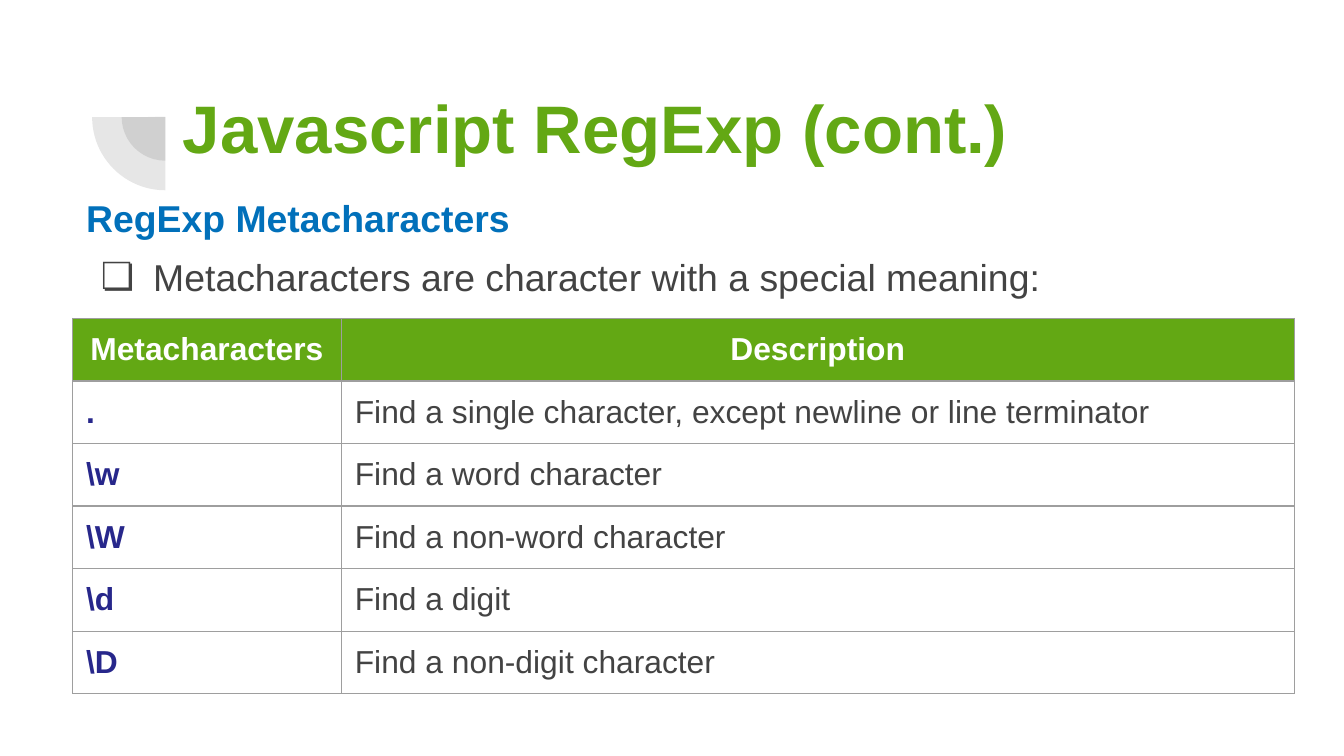
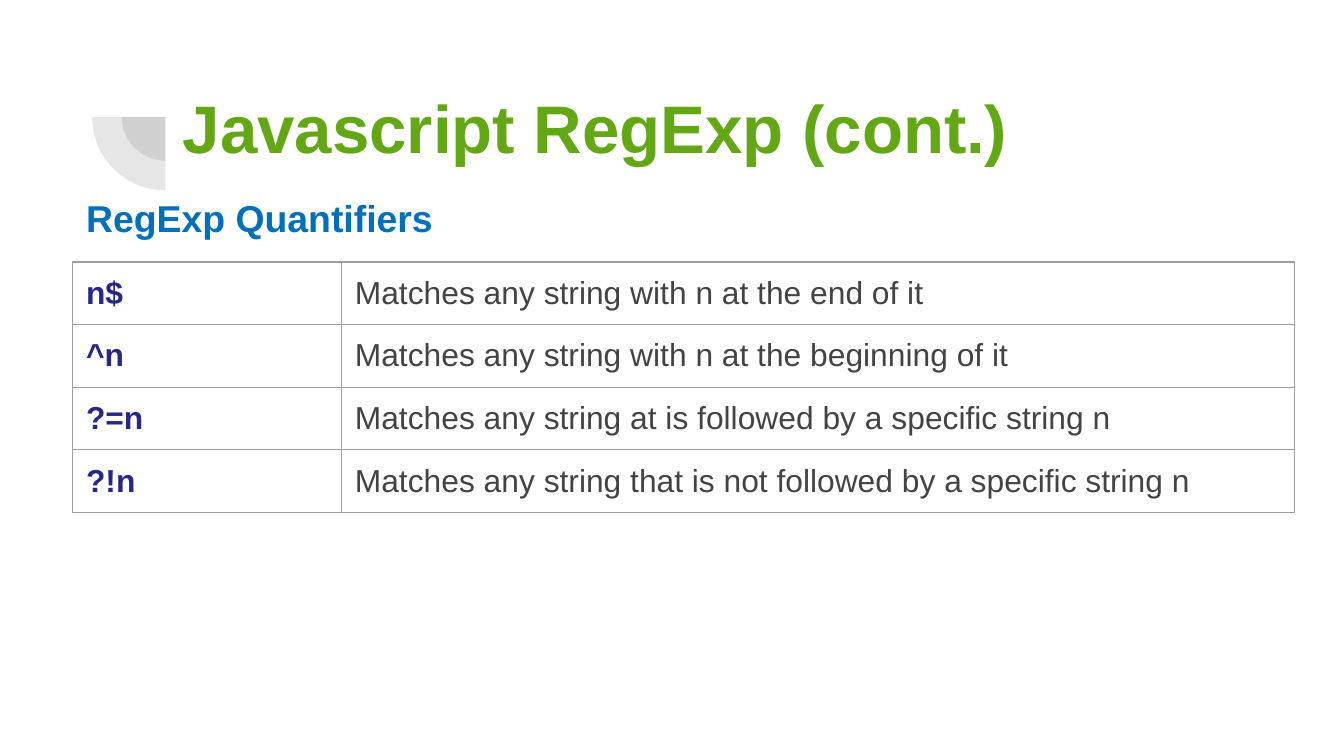
import pptx
import pptx.dml.color
import pptx.enum.shapes
import pptx.enum.text
import pptx.oxml
import pptx.oxml.ns
import pptx.util
from lxml import etree

Pt = pptx.util.Pt

SLIDES = [
    {
        "title": "Javascript RegExp (cont.)",
        "heading": "RegExp Metacharacters",
        "bullets": ["Metacharacters are character with a special meaning:"],
        "header": ("Metacharacters", "Description"),
        "rows": [
            (".", "Find a single character, except newline or line terminator"),
            ("\\w", "Find a word character"),
            ("\\W", "Find a non-word character"),
            ("\\d", "Find a digit"),
            ("\\D", "Find a non-digit character"),
        ],
    },
    {
        "title": "Javascript RegExp (cont.)",
        "heading": "RegExp Quantifiers",
        "bullets": [],
        "header": None,
        "rows": [
            ("n$", "Matches any string with n at the end of it"),
            ("^n", "Matches any string with n at the beginning of it"),
            ("?=n", "Matches any string at is followed by a specific string n"),
            ("?!n", "Matches any string that is not followed by a specific string n"),
        ],
    },
]

FONT = "Arial"
GREEN, BLUE, NAVY = "63A814", "0170BA", "27278B"
GREY, WHITE, BORDER, PIE_GREY = "434343", "FFFFFF", "9E9E9E", "424242"
INSET = 7.2
LEFT = 38.9
TABLE_TOP, BULLET_STEP = 140.4, 30.2
COLUMN_WIDTHS = (144, 510.5)
ROW_HEIGHT = 33.4
PIE_CENTER = (88.6, 62.7)
PIE_SIZES = (46.8, 78.5)


def color(value):
    return pptx.dml.color.RGBColor.from_string(value)


def add_xml(parent, tag, **attributes):
    return etree.SubElement(parent, pptx.oxml.ns.qn(tag), attributes)


def format_runs(paragraph, size, hex_color, bold):
    for run in paragraph.runs:
        run.font.name = FONT
        run.font.size = Pt(size)
        run.font.bold = bold
        run.font.color.rgb = color(hex_color)


def place(shape, left, top, width, height):
    shape.left, shape.top = Pt(left), Pt(top)
    shape.width, shape.height = Pt(width), Pt(height)


def prepare_frame(shape, margin_top, margin_bottom):
    frame = shape.text_frame
    frame.word_wrap = True
    frame.auto_size = pptx.enum.text.MSO_AUTO_SIZE.NONE
    frame.vertical_anchor = pptx.enum.text.MSO_ANCHOR.TOP
    frame.margin_left = frame.margin_right = Pt(INSET)
    frame.margin_top, frame.margin_bottom = Pt(margin_top), Pt(margin_bottom)
    return frame


def add_pies(slide):
    for size in PIE_SIZES:
        pie = slide.shapes.add_shape(
            pptx.enum.shapes.MSO_SHAPE.PIE,
            *(Pt(center - size / 2) for center in PIE_CENTER), Pt(size), Pt(size))
        pie.adjustments[0], pie.adjustments[1] = 54, 108
        pie.shadow.inherit = False
        pie.line.fill.background()
        pie.fill.solid()
        pie.fill.fore_color.rgb = color(PIE_GREY)
        fill_color = pie.fill._xPr.find(".//" + pptx.oxml.ns.qn("a:srgbClr"))
        add_xml(fill_color, "a:alpha", val="13000")


def fill_title(shape, text):
    place(shape, 90.7, 35.3, 556.6, 52.6)
    frame = prepare_frame(shape, 10.8, 0)
    frame.text = text
    paragraph = frame.paragraphs[0]
    paragraph.alignment = pptx.enum.text.PP_ALIGN.LEFT
    format_runs(paragraph, 36, GREEN, True)


def fill_body(shape, heading, bullets):
    place(shape, LEFT, 91.4, 644.4, 305.3)
    frame = prepare_frame(shape, 9.7, INSET)
    frame.text = "\n".join([heading, *bullets])
    for index, paragraph in enumerate(frame.paragraphs):
        properties = paragraph._p.get_or_add_pPr()
        if index:
            properties.set("marL", str(Pt(36)))
            properties.set("indent", str(Pt(-28.1)))
            add_xml(add_xml(properties, "a:buClr"), "a:srgbClr", val=GREY)
            add_xml(properties, "a:buFont", typeface=FONT)
            add_xml(properties, "a:buChar", char="❏")
        else:
            properties.set("marL", "0")
            properties.set("indent", "0")
            add_xml(properties, "a:buNone")
        paragraph.line_spacing = 1.15
        paragraph.space_before = Pt(4 if index else 0)
        format_runs(paragraph, 20, GREY if index else BLUE, not index)


def fill_cell(cell, text, hex_color, bold, header):
    cell.margin_left = cell.margin_right = Pt(INSET)
    cell.margin_top = cell.margin_bottom = Pt(INSET)
    properties = cell._tc.get_or_add_tcPr()
    for side in ("a:lnL", "a:lnR", "a:lnT", "a:lnB"):
        line = add_xml(properties, side, w=str(Pt(0.75)))
        add_xml(add_xml(line, "a:solidFill"), "a:srgbClr", val=BORDER)
    if header:
        cell.fill.solid()
        cell.fill.fore_color.rgb = color(GREEN)
    else:
        cell.fill.background()
    cell.text_frame.text = text
    paragraph = cell.text_frame.paragraphs[0]
    if header:
        paragraph.alignment = pptx.enum.text.PP_ALIGN.CENTER
    format_runs(paragraph, 17, hex_color, bold)


def add_pattern_table(slide, top, header, rows):
    all_rows = ([header] if header else []) + rows
    table = slide.shapes.add_table(
        len(all_rows), len(COLUMN_WIDTHS), Pt(LEFT), Pt(top),
        Pt(sum(COLUMN_WIDTHS)), Pt(ROW_HEIGHT * len(all_rows))).table
    table.first_row = bool(header)
    table.horz_banding = False
    for column, width in zip(table.columns, COLUMN_WIDTHS):
        column.width = Pt(width)
    for row_index, texts in enumerate(all_rows):
        table.rows[row_index].height = Pt(ROW_HEIGHT)
        is_header = bool(header) and row_index == 0
        for column_index, text in enumerate(texts):
            text_color = WHITE if is_header else (NAVY, GREY)[column_index]
            fill_cell(table.cell(row_index, column_index), text, text_color,
                      is_header or column_index == 0, is_header)


def main():
    presentation = pptx.Presentation()
    presentation.slide_width, presentation.slide_height = Pt(720), Pt(405)
    for content in SLIDES:
        slide = presentation.slides.add_slide(presentation.slide_layouts[1])
        add_pies(slide)
        fill_title(slide.shapes.title, content["title"])
        fill_body(slide.placeholders[1], content["heading"], content["bullets"])
        table_top = TABLE_TOP + BULLET_STEP * len(content["bullets"])
        add_pattern_table(slide, table_top, content["header"], content["rows"])
    presentation.save("out.pptx")


if __name__ == "__main__":
    main()
